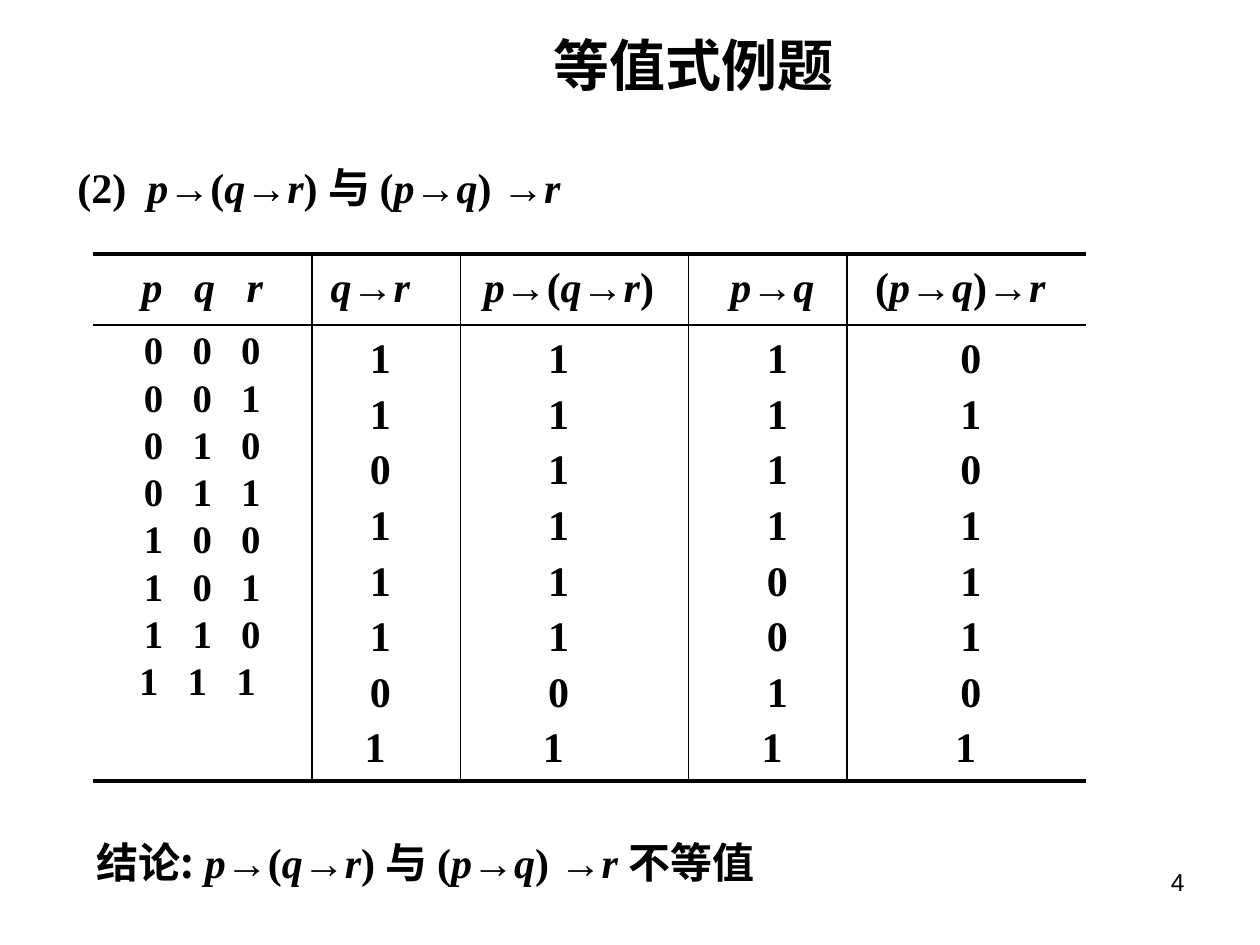
import itertools

import lxml.etree
import pptx
import pptx.dml.color
import pptx.enum.shapes
import pptx.enum.text
import pptx.oxml.ns
import pptx.util

COLOURS = {"ink": "000000", "paper": "FFFFFF"}
FONTS = {"serif": "Times New Roman", "sans": "Arial", "chinese": "Noto Sans CJK SC"}
ALIGN = pptx.enum.text.PP_ALIGN
ANCHOR = pptx.enum.text.MSO_ANCHOR
Pt = pptx.util.Pt
WIDE = "_"  # stands for one space with extra character spacing


def colour(name):
    """Return a named colour."""
    return pptx.dml.color.RGBColor.from_string(COLOURS[name])


def add_node(parent, tag):
    """Append an empty DrawingML element."""
    return lxml.etree.SubElement(parent, pptx.oxml.ns.qn(tag))


def span_kind(character):
    """Sort a formula character by the formatting that it needs."""
    if character in "pqr":
        return "variable"
    if character in "→" + WIDE:
        return {"→": "arrow", WIDE: "wide"}[character]
    return "chinese" if character in "结论:" else "plain"


class SlideWriter:
    """Holds the text style and the current slide."""

    def __init__(self, page):
        """Start on a white page."""
        self.page = page
        page.background.fill.solid()
        page.background.fill.fore_color.rgb = colour("paper")
        self.table = None

    def start_table(self):
        """Open the group that holds the table parts."""
        self.table = self.page.shapes.add_group_shape().shapes

    def fill(self, box, lines, size=24, font="serif", bold=True, align=ALIGN.LEFT,
             before=6, spacing=None, gap=0, anchor=ANCHOR.TOP):
        """Write styled lines into a box; gap widens the marked spaces."""
        frame = box.text_frame
        frame.word_wrap = True
        frame.auto_size = pptx.enum.text.MSO_AUTO_SIZE.NONE
        frame.vertical_anchor = anchor
        for index, line in enumerate(lines):
            para = frame.add_paragraph() if index else frame.paragraphs[0]
            para.alignment = align
            para.space_before = Pt(before)
            if spacing:
                para.line_spacing = spacing
            properties = para._p.get_or_add_pPr()
            properties.set("marL", "0")
            properties.set("indent", "0")
            add_node(properties, "a:buNone")
            para.font.name = FONTS[font]
            para.font.size = Pt(size)
            para.font.bold = bold
            para.font.color.rgb = colour("ink")
            self.spans(para, line, gap)

    def spans(self, para, line, gap):
        """Split a line into spans: italic variables, sans arrows, plain rest."""
        for kind, characters in itertools.groupby(line, span_kind):
            span = para.add_run()
            span.text = "".join(characters).replace(WIDE, " ")
            if kind == "variable":
                span.font.italic = True
            elif kind == "arrow":
                span.font.name = FONTS["sans"]
            elif kind == "chinese":
                span.font.name = FONTS["chinese"]
            elif kind == "wide":
                span._r.get_or_add_rPr().set("spc", str(round(gap * 100)))

    def placeholder(self, index, place, lines, **style):
        """Move and fill a template placeholder."""
        box = self.page.placeholders[index]
        box.left, box.top, box.width, box.height = map(Pt, place)
        self.fill(box, lines, **style)
        return box

    def text(self, place, lines, shapes=None, **style):
        """Add a text box."""
        box = (shapes or self.page.shapes).add_textbox(*map(Pt, place))
        self.fill(box, lines, **style)

    def rule(self, start, end, width):
        """Add a straight table rule."""
        straight = pptx.enum.shapes.MSO_CONNECTOR.STRAIGHT
        line = self.table.add_connector(straight, *map(Pt, start + end))
        line.line.width = Pt(width)
        line.line.color.rgb = colour("ink")
        add_node(line._element.spPr, "a:effectLst")


deck = pptx.Presentation()
deck.slide_width, deck.slide_height = Pt(720), Pt(540)
writer = SlideWriter(deck.slides.add_slide(deck.slide_layouts[1]))

writer.placeholder(0, (155.5, 20.2, 481.7, 33.1), ["等值式例题"], size=32, font="sans",
                   align=ALIGN.CENTER, before=0, anchor=ANCHOR.MIDDLE)
question = writer.placeholder(1, (31, 88.6, 556.6, 51.1), ["(2)_p→(q→r) 与 (p→q) →r"],
                              gap=6)
question.text_frame.margin_left = Pt(13.2)

LEFT, RIGHT = 53.3, 620.6
TOP, HEAD, BOTTOM = 145.4, 185.8, 446.4
writer.start_table()

# Heading, its left and width, then the values with their left and width
columns = [
    ("q→r ", 172.1, 85, "11011101", 177.8, 79.2),
    ("p→(q→r)", 262.8, 124.6, "11111101", 262.8, 113),
    ("p→q", 398.9, 85, "11110011", 398.9, 90.7),
    ("(p→q)→r", 477.4, 142.6, "01011101", 489.6, 130.3),
]
for heading, head_left, head_width, values, left, width in columns:
    writer.text((head_left, TOP, head_width, HEAD - TOP), [heading], writer.table,
                align=ALIGN.CENTER)
    writer.text((left, HEAD, width, BOTTOM - HEAD), list(values[:-1]) + [values[-1] + " "],
                writer.table, align=ALIGN.CENTER, before=3)

inputs = [WIDE.join(bits) for bits in itertools.product("01", repeat=3)]
inputs[-1] += " "
writer.text((LEFT, TOP, 124.6, HEAD - TOP), [WIDE.join("pqr")], writer.table,
            align=ALIGN.CENTER, gap=12)
writer.text((LEFT, HEAD, 124.6, 254.9), inputs, writer.table, size=22.2,
            align=ALIGN.CENTER, before=3, spacing=0.9, gap=11.1)

for y, weight in ((TOP, 2.24), (HEAD, 0.99), (BOTTOM, 2.24)):
    writer.rule((LEFT, y), (RIGHT, y), weight)
for x in (178.2, 263.2, 393.5, 484.2):
    writer.rule((x, TOP), (x, BOTTOM), 0.99)

writer.text((48.2, 474.5, 447.8, 40.3), ["结论: p→(q→r) 与 (p→q) →r 不等值"])
writer.text((516.2, 491.8, 167.8, 37.4), ["4"], size=14, font="sans", bold=False,
            align=ALIGN.RIGHT, before=0)

deck.save("out.pptx")
